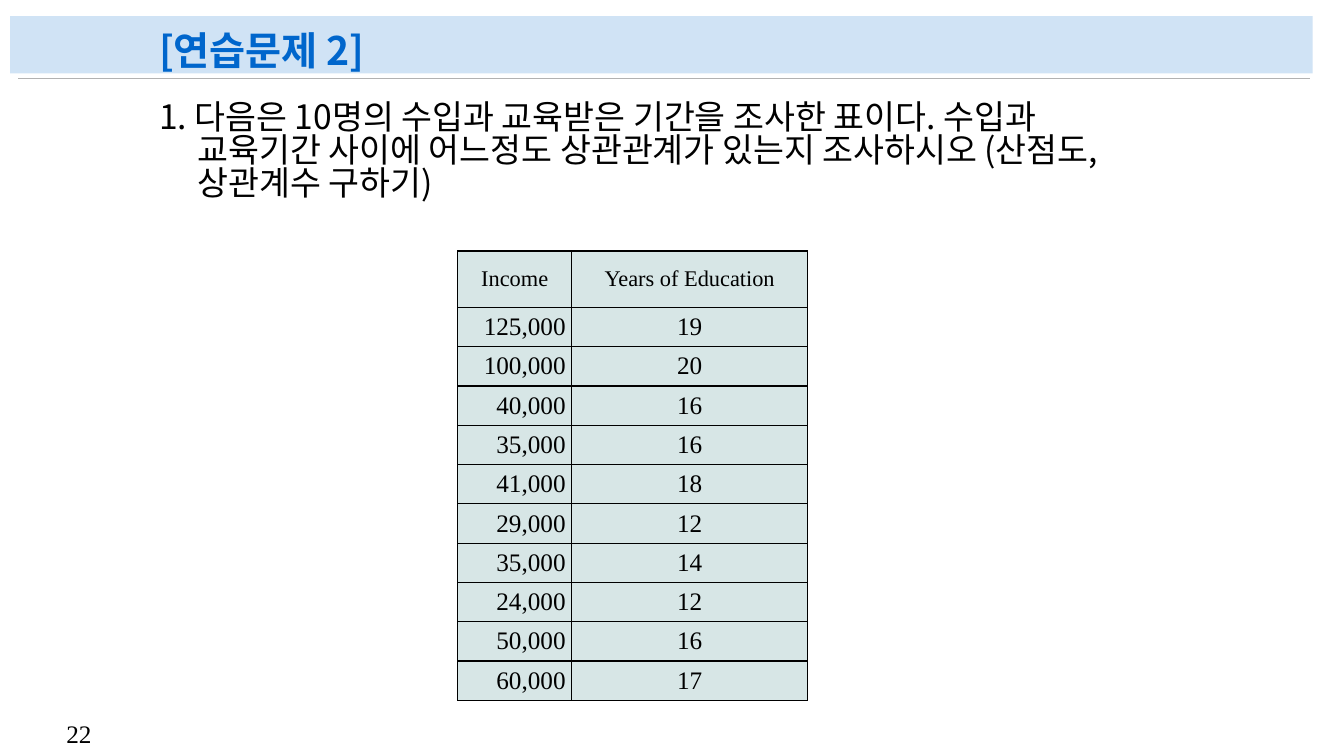
from lxml.etree import SubElement
from pptx import Presentation
from pptx.dml.color import RGBColor
from pptx.enum.shapes import MSO_CONNECTOR as Connector, MSO_SHAPE as Shape
from pptx.enum.text import MSO_ANCHOR as Anchor, MSO_AUTO_SIZE as AutoSize, PP_ALIGN as Align
from pptx.oxml.ns import qn
from pptx.util import Inches, Pt

COLORS = {"band": "D0E3F5", "rule": "B2B2B2", "title": "0066CC", "ink": "000000", "cell": "D7E6E6"}
GOTHIC = "Noto Sans CJK KR"
SERIF = "Times New Roman"
HEADERS = ("Income", "Years of Education")
SURVEY = [
    (125000, 19), (100000, 20), (40000, 16), (35000, 16), (41000, 18),
    (29000, 12), (35000, 14), (24000, 12), (50000, 16), (60000, 17),
]
QUESTION = (
    "1. 다음은 10명의 수입과 교육받은 기간을 조사한 표이다. 수입과 교육기간 사이에 "
    "어느정도 상관관계가 있는지 조사하시오 (산점도, 상관계수 구하기)"
)


def color(name):
    return RGBColor.from_string(COLORS[name])


def apply(target, values):
    for name, value in values.items():
        setattr(target, name, value)


def write(frame, text, font, size, ink="ink", bold=False, **layout):
    para = frame.paragraphs[0]
    apply(para, layout)
    span = para.add_run()
    span.text = text
    apply(span.font, {"name": font, "size": Pt(size), "bold": bold})
    span.font.color.rgb = color(ink)
    SubElement(span.font._element, qn("a:ea"), typeface=font)
    return para


def add_text(page, bounds, frame_format, *content, **layout):
    box = page.shapes.add_textbox(*map(Inches, bounds))
    apply(box.text_frame, frame_format)
    return write(box.text_frame, *content, **layout)


def add_header_band(page):
    band = page.shapes.add_shape(Shape.RECTANGLE, *map(Inches, (0.1, 0.16, 12.92, 0.57)))
    band.shadow.inherit = False
    band.fill.solid()
    band.fill.fore_color.rgb = color("band")
    band.line.fill.background()
    rule = page.shapes.add_connector(Connector.STRAIGHT, *map(Inches, (12.99, 0.78, 0.18, 0.78)))
    rule.line.color.rgb = color("rule")
    rule.line.width = Pt(0.5)
    SubElement(rule._element.spPr, qn("a:effectLst"))


def add_borders(cell):
    properties = cell._tc.get_or_add_tcPr()
    for index, side in enumerate(("a:lnL", "a:lnR", "a:lnT", "a:lnB")):
        border = properties.makeelement(qn(side), {"w": str(Pt(1))})
        fill = SubElement(border, qn("a:solidFill"))
        SubElement(fill, qn("a:srgbClr"), val=COLORS["ink"])
        properties.insert(index, border)


def fill_cell(cell, text, size, alignment):
    margin_x, margin_y = Inches(0.06), Inches(0.03)
    apply(cell, {
        "vertical_anchor": Anchor.MIDDLE,
        "margin_left": margin_x, "margin_right": margin_x,
        "margin_top": margin_y, "margin_bottom": margin_y,
    })
    cell.fill.solid()
    cell.fill.fore_color.rgb = color("cell")
    add_borders(cell)
    write(cell.text_frame, text, SERIF, size, alignment=alignment)


def add_survey_table(page):
    bounds = map(Inches, (4.54, 2.49, 3.47, 4.44))
    table = page.shapes.add_table(len(SURVEY) + 1, len(HEADERS), *bounds).table
    apply(table, {"first_row": False, "horz_banding": False})
    for column, width in zip(table.columns, (1.13, 2.34)):
        column.width = Inches(width)
    for index, row in enumerate(table.rows):
        row.height = Inches(0.39 if index else 0.56)
    for index, header in enumerate(HEADERS):
        fill_cell(table.cell(0, index), header, 16, Align.CENTER)
    for index, (income, years) in enumerate(SURVEY, start=1):
        fill_cell(table.cell(index, 0), f"{income:,}", 18, Align.RIGHT)
        fill_cell(table.cell(index, 1), str(years), 18, Align.CENTER)


def main():
    deck = Presentation()
    apply(deck, {"slide_width": Inches(13.33), "slide_height": Inches(7.5)})
    page = deck.slides.add_slide(deck.slide_layouts[6])
    add_header_band(page)
    add_text(page, (0.56, 7.08, 0.5, 0.4),
             {"word_wrap": False, "auto_size": AutoSize.SHAPE_TO_FIT_TEXT}, "22", SERIF, 18)
    add_text(page, (1.48, 0.17, 10.06, 0.58),
             {"word_wrap": True, "vertical_anchor": Anchor.BOTTOM, "margin_bottom": Inches(0.02)},
             "[연습문제 2]", GOTHIC, 28, "title", True, line_spacing=0.9)
    question = add_text(page, (1.48, 0.94, 10.06, 6.02),
                        {"word_wrap": True, "margin_top": Inches(0.08)},
                        QUESTION, GOTHIC, 24, line_spacing=0.82)
    indent = Inches(0.38)
    properties = question._p.get_or_add_pPr()
    properties.set("marL", str(indent))
    properties.set("indent", str(-indent))
    add_survey_table(page)
    deck.save("out.pptx")


if __name__ == "__main__":
    main()
